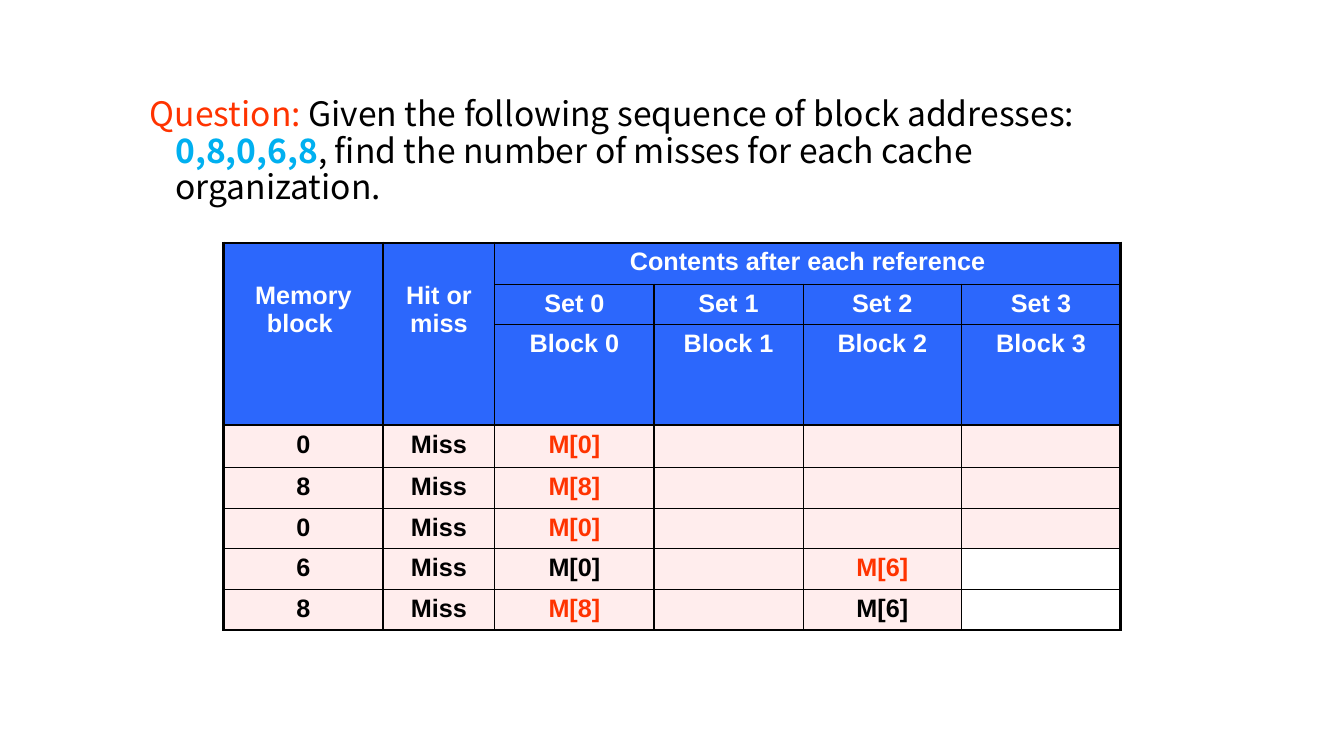
from lxml.etree import SubElement
from pptx import Presentation
from pptx.dml.color import RGBColor
from pptx.enum.text import MSO_ANCHOR, PP_ALIGN
from pptx.oxml import parse_xml
from pptx.oxml.ns import nsdecls, qn
from pptx.util import Cm, Pt

COLORS = {
    "black": "000000",
    "white": "FFFFFF",
    "red": "FF3300",
    "cyan": "00B0F0",
    "header": "2C67FC",
    "body": "FFEDED",
}
QUESTION_FONT = "Noto Sans CJK SC"
TABLE_FONT = "Arial"

COLUMN_WIDTHS = [4.01, 2.82, 4.01, 3.76, 3.99, 4.01]
ROW_HEIGHTS = [1.04, 1.02, 2.53, 1.07, 1.02, 1.02, 1.02, 1.02]
HEADER_ROWS = 3
THIN, THICK = Pt(1), Pt(2.25)

QUESTION = [
    ("Question: ", "red", False),
    ("Given the following sequence of block addresses: ", "black", False),
    ("0,8,0,6,8", "cyan", True),
    (", find the number of misses for each cache organization.", "black", False),
]
HEADER = [
    ["Memory block ", "Hit or miss", "Contents after each reference", "", "", ""],
    ["", ""] + [f"Set {number}" for number in range(4)],
    ["", ""] + [f"Block {number}" for number in range(4)],
]
REFERENCES = [
    ["0", "Miss", "M[0]", "", "", ""],
    ["8", "Miss", "M[8]", "", "", ""],
    ["0", "Miss", "M[0]", "", "", ""],
    ["6", "Miss", "M[0]", "", "M[6]", ""],
    ["8", "Miss", "M[8]", "", "M[6]", ""],
]
# Cells whose block was just loaded, and cells left without fill
LOADED = {(3, 2), (4, 2), (5, 2), (6, 4), (7, 2)}
UNFILLED = {(6, 5), (7, 5)}


def rgb(name):
    return RGBColor.from_string(COLORS[name])


def style_font(font, name, size, color, bold):
    font.name = name
    font.size = Pt(size)
    font.bold = bold
    font.color.rgb = rgb(color)


def add_question(slide):
    box = slide.shapes.add_textbox(Cm(3.53), Cm(2.34), Cm(26.21), Cm(2.39))
    frame = box.text_frame
    frame.word_wrap = True
    frame.vertical_anchor = MSO_ANCHOR.TOP
    paragraph = frame.paragraphs[0]
    paragraph.line_spacing = 0.9
    properties = paragraph._p.get_or_add_pPr()
    properties.set("marL", str(Cm(0.64)))
    properties.set("indent", str(Cm(-0.64)))
    SubElement(properties, qn("a:buNone"))
    for text, color, bold in QUESTION:
        run = paragraph.add_run()
        run.text = text
        style_font(run.font, QUESTION_FONT, 24, color, bold)


def set_borders(cell, row, column):
    """Draw thick lines round the header and the whole table, thin ones inside."""
    last_row, last_column = row, column
    if cell.is_merge_origin:
        last_row += cell.span_height - 1
        last_column += cell.span_width - 1
    thick_edges = {
        "L": column == 0,
        "R": last_column == len(COLUMN_WIDTHS) - 1,
        "T": row in (0, HEADER_ROWS),
        "B": last_row in (HEADER_ROWS - 1, len(ROW_HEIGHTS) - 1),
    }
    properties = cell._tc.get_or_add_tcPr()
    for position, (side, is_thick) in enumerate(thick_edges.items()):
        line = parse_xml(
            f'<a:ln{side} {nsdecls("a")} w="{THICK if is_thick else THIN}">'
            f'<a:solidFill><a:srgbClr val="{COLORS["black"]}"/></a:solidFill>'
            f'</a:ln{side}>'
        )
        properties.insert(position, line)


def fill_cell(cell, text, row, column):
    in_header = row < HEADER_ROWS
    if (row, column) in UNFILLED:
        cell.fill.background()
    else:
        cell.fill.solid()
        cell.fill.fore_color.rgb = rgb("header" if in_header else "body")
    cell.margin_left = cell.margin_right = Cm(0.25)
    cell.margin_top = cell.margin_bottom = Cm(0.13)
    if cell.is_merge_origin and cell.span_height > 1:
        cell.margin_top, cell.margin_bottom = Cm(0.98), Cm(0)
    cell.vertical_anchor = MSO_ANCHOR.TOP
    if in_header:
        color = "white"
    else:
        color = "red" if (row, column) in LOADED else "black"
    cell.text_frame.text = text
    paragraph = cell.text_frame.paragraphs[0]
    paragraph.alignment = PP_ALIGN.CENTER
    for run in paragraph.runs:
        style_font(run.font, TABLE_FONT, 18, color, True)
    set_borders(cell, row, column)


def add_cache_table(slide):
    table = slide.shapes.add_table(
        len(ROW_HEIGHTS), len(COLUMN_WIDTHS), Cm(5.64), Cm(6.12),
        Cm(sum(COLUMN_WIDTHS)), Cm(sum(ROW_HEIGHTS)),
    ).table
    table.first_row = table.horz_banding = False
    for column, width in zip(table.columns, COLUMN_WIDTHS):
        column.width = Cm(width)
    for row, height in zip(table.rows, ROW_HEIGHTS):
        row.height = Cm(height)
    for column in (0, 1):
        table.cell(0, column).merge(table.cell(HEADER_ROWS - 1, column))
    table.cell(0, 2).merge(table.cell(0, len(COLUMN_WIDTHS) - 1))
    for row, texts in enumerate(HEADER + REFERENCES):
        for column, text in enumerate(texts):
            cell = table.cell(row, column)
            if not cell.is_spanned:
                fill_cell(cell, text, row, column)


def main():
    presentation = Presentation()
    presentation.slide_width = Cm(33.87)
    presentation.slide_height = Cm(19.05)
    slide = presentation.slides.add_slide(presentation.slide_layouts[6])
    add_question(slide)
    add_cache_table(slide)
    presentation.save("out.pptx")


if __name__ == "__main__":
    main()
